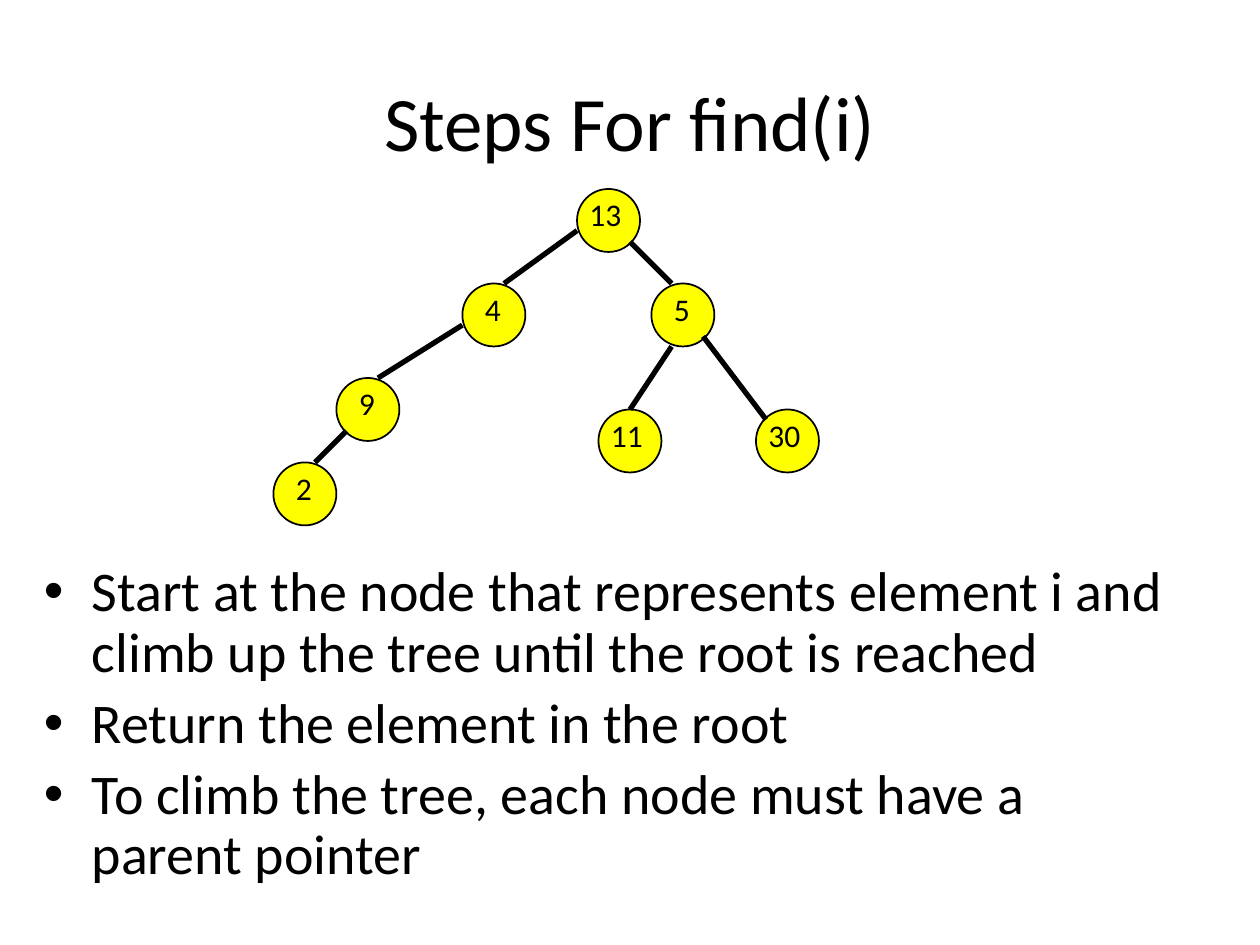
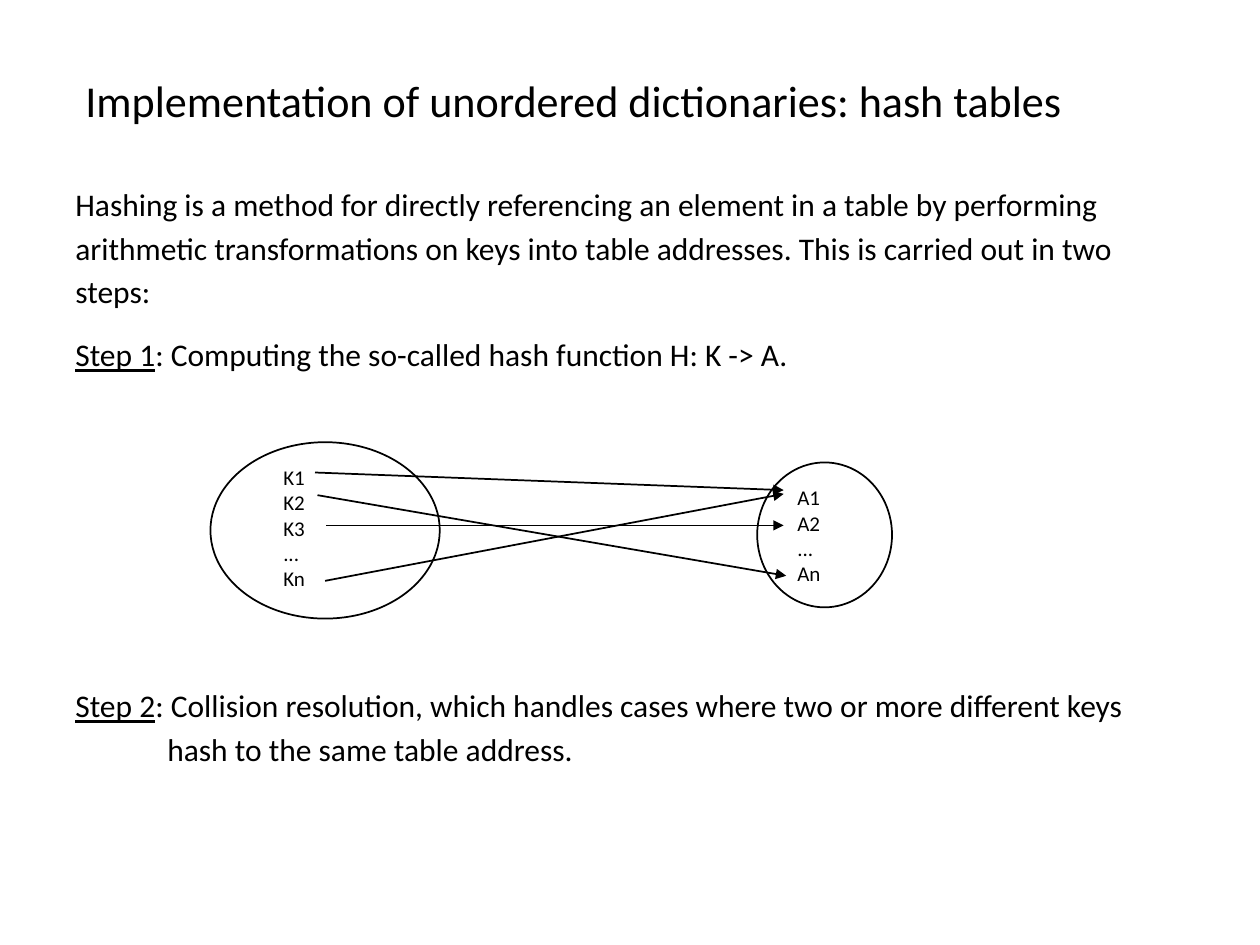
from dataclasses import dataclass
from typing import NamedTuple

from lxml import etree
from pptx import Presentation
from pptx import util as u
from pptx.dml.color import RGBColor
from pptx.enum import shapes, text
from pptx.oxml import ns


@dataclass(frozen=True)
class Theme:
    font: str = "Calibri"
    ink: RGBColor = RGBColor(0, 0, 0)
    node_fill: RGBColor = RGBColor(255, 255, 0)
    title: float = 44
    long_title: float = 25.2
    bullets: float = 32
    body: float = 18
    label: float = 12
    outline: float = 1
    branch: float = 3


THEME = Theme()


class Box(NamedTuple):
    left: float
    top: float
    width: float
    height: float


class Line(NamedTuple):
    x1: float
    y1: float
    x2: float
    y2: float


class Node(NamedTuple):
    value: str
    left: float
    top: float


class Para(NamedTuple):
    words: str
    underlined: str = ""
    before: float = 0
    margin: float = 0
    hanging: float = 0
    spacing: float = 1
    bullet: str = ""


# Tree of the find operation
NODE_SIZE = 0.5
NODES = [
    Node("4", 3.67, 2.25),
    Node("2", 2.17, 3.67),
    Node("9", 2.67, 3),
    Node("11", 4.75, 3.25),
    Node("30", 6, 3.25),
    Node("5", 5.17, 2.25),
    Node("13", 4.58, 1.5),
]
BRANCHES = [
    Line(4.58, 1.83, 4, 2.25),
    Line(3.67, 2.58, 3, 3),
    Line(5, 1.92, 5.33, 2.25),
    Line(2.75, 3.42, 2.5, 3.67),
    Line(5.33, 2.75, 5, 3.25),
    Line(5.58, 2.67, 6.08, 3.33),
]
FIND_STEPS = [
    "Start at the node that represents element i and climb up the tree until the root is reached",
    "Return the element in the root",
    "To climb the tree, each node must have a parent pointer",
]

# Mapping from keys to addresses
KEY_SET = Box(1.67, 3.51, 1.82, 1.4)
ADDRESS_SET = Box(6.01, 3.67, 1.07, 1.15)
KEYS = ["K1", "K2", "K3", "...", "Kn"]
ADDRESSES = ["A1", "A2", "...", "An"]
HASH_ARROWS = [
    Line(2.5, 3.75, 6.22, 3.89),
    Line(2.58, 4.61, 6.22, 3.92),
    Line(2.52, 3.93, 6.24, 4.57),
    Line(2.59, 4.17, 6.22, 4.17),
]
BODY_GAP = 3.2
HASHING = [
    Para("Hashing is a method for directly referencing an element in a table by performing"),
    Para("arithmetic transformations on keys into table addresses. This is carried out in two",
         before=BODY_GAP),
    Para("steps:", before=BODY_GAP),
    Para(": Computing the so-called hash function H: K -> A.", "Step 1", before=14.6),
    Para(": Collision resolution, which handles cases where two or more different keys",
         "Step 2", before=179),
    Para("hash to the same table address.", before=BODY_GAP, margin=0.73),
]


def add_text(target, box: Box, paras: list[Para], size: float,
             align=text.PP_ALIGN.LEFT, anchor=text.MSO_ANCHOR.TOP) -> None:
    frame = target.shapes.add_textbox(*map(u.Inches, box)).text_frame
    frame.word_wrap = True
    frame.vertical_anchor = anchor
    for index, item in enumerate(paras):
        para = frame.paragraphs[0] if index == 0 else frame.add_paragraph()
        para.alignment = align
        para.line_spacing = item.spacing
        if index:
            para.space_before = u.Pt(item.before)
        properties = para._p.get_or_add_pPr()
        properties.set("marL", str(u.Inches(item.margin)))
        properties.set("indent", str(-u.Inches(item.hanging)))
        if item.bullet:
            font = etree.SubElement(properties, ns.qn("a:buFont"))
            font.set("typeface", "Arial")
            etree.SubElement(properties, ns.qn("a:buChar")).set("char", item.bullet)
        para.font.name = THEME.font
        para.font.size = u.Pt(size)
        para.font.color.rgb = THEME.ink
        if item.underlined:
            span = para.add_run()
            span.text = item.underlined
            span.font.underline = True
        para.add_run().text = item.words


def add_title(page, box: Box, words: str, size: float, align=text.PP_ALIGN.LEFT) -> None:
    add_text(page, box, [Para(words)], size, align, text.MSO_ANCHOR.MIDDLE)


def add_ellipse(target, box: Box, fill: RGBColor | None = None) -> None:
    ellipse = target.shapes.add_shape(shapes.MSO_SHAPE.OVAL, *map(u.Inches, box))
    ellipse.shadow.inherit = False
    if fill is None:
        ellipse.fill.background()
    else:
        ellipse.fill.solid()
        ellipse.fill.fore_color.rgb = fill
    ellipse.line.color.rgb = THEME.ink
    ellipse.line.width = u.Pt(THEME.outline)


def add_line(target, line: Line, width: float, arrow: bool = False) -> None:
    connector = target.shapes.add_connector(
        shapes.MSO_CONNECTOR.STRAIGHT, *map(u.Inches, line))
    connector.line.color.rgb = THEME.ink
    connector.line.width = u.Pt(width)
    if arrow:
        outline = connector.line._get_or_add_ln()
        etree.SubElement(outline, ns.qn("a:tailEnd")).set("type", "triangle")
    etree.SubElement(connector._element.spPr, ns.qn("a:effectLst"))


def add_node(target, node: Node) -> None:
    add_ellipse(target, Box(node.left, node.top, NODE_SIZE, NODE_SIZE), THEME.node_fill)
    shift, width = (0.08, 0.34) if len(node.value) == 1 else (0, 0.6)
    label = Box(node.left + shift, node.top, width, NODE_SIZE)
    add_text(target, label, [Para(node.value)], THEME.body)


def build_find_page(page) -> None:
    add_title(page, Box(0.75, 0.33, 8.5, 1.25), "Steps For find(i)",
              THEME.title, text.PP_ALIGN.CENTER)
    steps = [Para(step, before=6, margin=0.38, hanging=0.38, spacing=0.9, bullet="•")
             for step in FIND_STEPS]
    add_text(page, Box(0.25, 4.42, 9.17, 2.92), steps, THEME.bullets)
    tree = page.shapes.add_group_shape()
    for node in NODES:
        add_node(tree, node)
    for branch in BRANCHES:
        add_line(tree, branch, THEME.branch)


def build_hash_page(page) -> None:
    add_title(page, Box(0.58, 0.33, 8.5, 0.92),
              "Implementation of unordered dictionaries: hash tables", THEME.long_title)
    add_text(page, Box(0.5, 1.42, 9.33, 5.42), HASHING, THEME.body)
    for outline in (KEY_SET, ADDRESS_SET):
        add_ellipse(page, outline)
    for names, box in ((KEYS, Box(2.15, 3.64, 0.4, 1.1)),
                       (ADDRESSES, Box(6.23, 3.8, 0.4, 0.9))):
        add_text(page, box, [Para(name) for name in names], THEME.label)
    for arrow in HASH_ARROWS:
        add_line(page, arrow, THEME.outline, arrow=True)


def main() -> None:
    deck = Presentation()
    deck.slide_width, deck.slide_height = u.Inches(10), u.Inches(7.5)
    blank = deck.slide_layouts[6]
    for build in (build_find_page, build_hash_page):
        build(deck.slides.add_slide(blank))
    deck.save("out.pptx")


if __name__ == "__main__":
    main()
